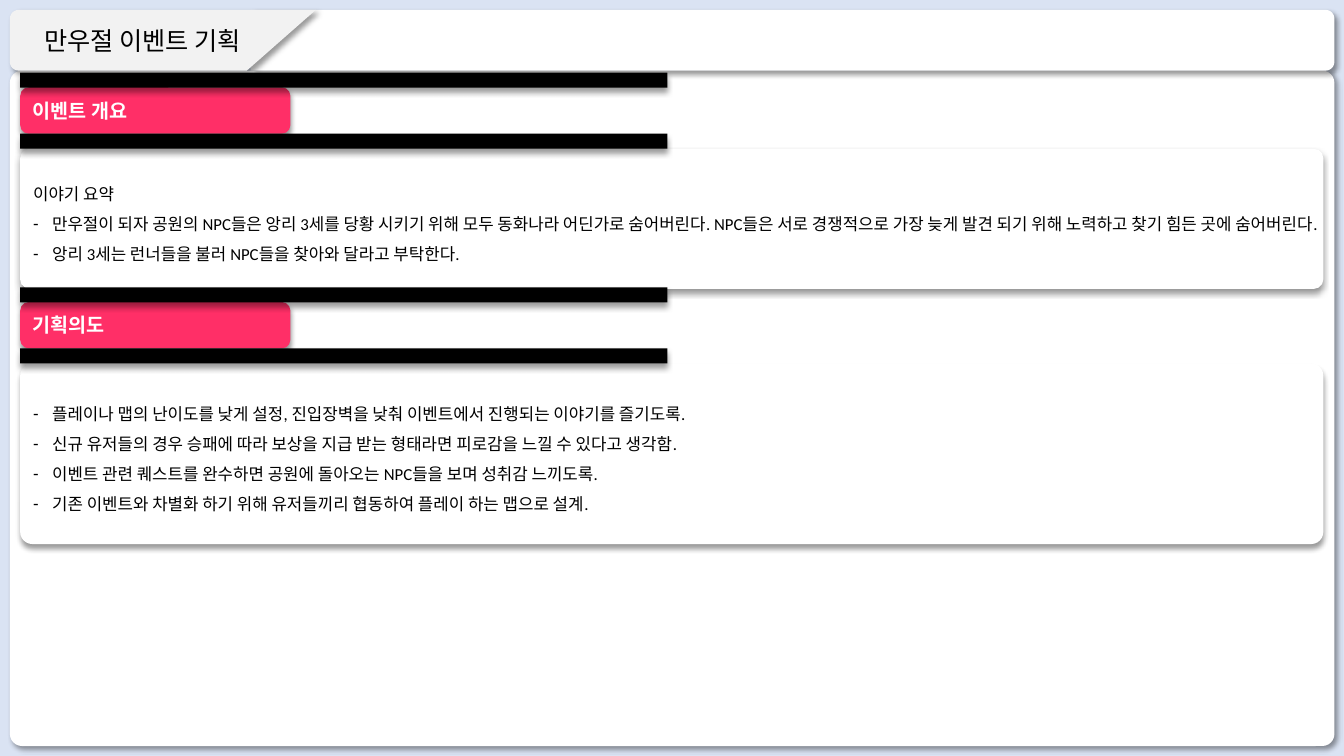
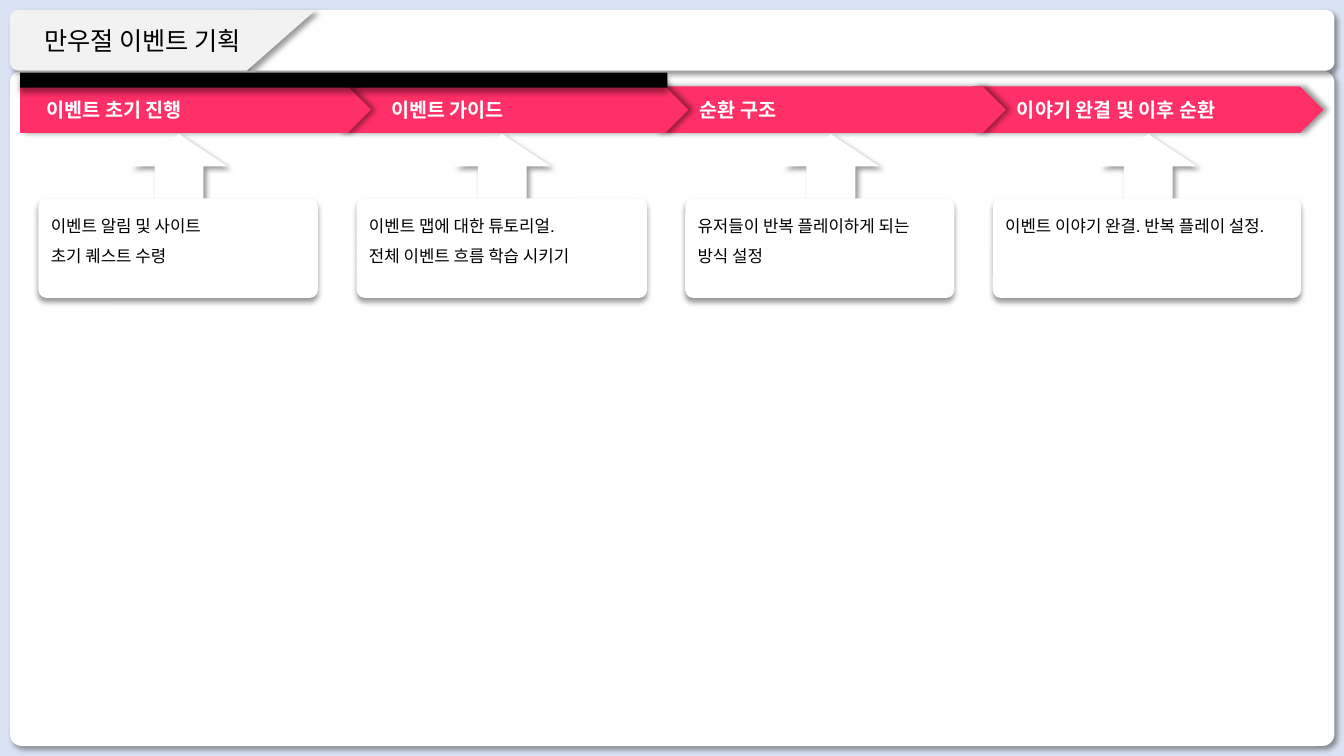
"""Build the two slides of the April Fools event plan."""
from math import cos, radians, sin

from lxml.etree import SubElement
from pptx import Presentation
from pptx.dml.color import RGBColor
from pptx.enum.shapes import MSO_SHAPE
from pptx.enum.text import MSO_ANCHOR, MSO_AUTO_SIZE, PP_ALIGN
from pptx.oxml.ns import qn
from pptx.util import Cm, Pt

COLORS = {
    "back": "DAE3F3",
    "white": "FFFFFF",
    "tab": "F2F2F2",
    "accent": "FF2F67",
    "black": "000000",
}
FONT = "Calibri"
TITLE = "만우절 이벤트 기획"
LEFT = 0.51
TOP = 1.83

SECTIONS = [
    ("이벤트 개요", 1.83, 3.53, [
        ("이야기 요약", False),
        ("만우절이 되자 공원의 NPC들은 앙리 3세를 당황 시키기 위해 모두 동화나라 어딘가로 숨어버린다. "
         "NPC들은 서로 경쟁적으로 가장 늦게 발견 되기 위해 노력하고 찾기 힘든 곳에 숨어버린다.", True),
        ("앙리 3세는 런너들을 불러 NPC들을 찾아와 달라고 부탁한다.", True),
    ]),
    ("기획의도", 7.24, 4.55, [
        ("플레이나 맵의 난이도를 낮게 설정, 진입장벽을 낮춰 이벤트에서 진행되는 이야기를 즐기도록.", True),
        ("신규 유저들의 경우 승패에 따라 보상을 지급 받는 형태라면 피로감을 느낄 수 있다고 생각함.", True),
        ("이벤트 관련 퀘스트를 완수하면 공원에 돌아오는 NPC들을 보며 성취감 느끼도록.", True),
        ("기존 이벤트와 차별화 하기 위해 유저들끼리 협동하여 플레이 하는 맵으로 설계.", True),
    ]),
]

STEPS = [
    ("이벤트 초기 진행", 0.66, 3.28, 0.97, 7.04, "이벤트 알림 및 사이트\n초기 퀘스트 수령"),
    ("이벤트 가이드", 1.35, 11.43, 8.99, 7.32, "이벤트 맵에 대한 튜토리얼.\n전체 이벤트 흐름 학습 시키기"),
    ("순환 구조", 1.13, 19.71, 17.27, 6.78, "유저들이 반복 플레이하게 되는 방식 설정"),
    ("이야기 완결 및 이후 순환", 1.12, 27.71, 25.02, 7.77, "이벤트 이야기 완결. 반복 플레이 설정."),
]


class Deck:
    """Hold the deck style and the current slide."""

    def __init__(self):
        """Create a wide presentation with the shared background."""
        self.prs = Presentation()
        self.prs.slide_width, self.prs.slide_height = Cm(33.87), Cm(19.05)
        self.fill(self.prs.slide_master.background, "back")
        self.s = None

    def fill(self, target, color):
        """Fill a shape or background with a named colour."""
        target.fill.solid()
        target.fill.fore_color.rgb = RGBColor.from_string(COLORS[color])

    def finish(self, sp, color, angle):
        """Apply the fill and soft shadow, without an outline."""
        self.fill(sp, color)
        sp.line.fill.background()
        sp.shadow.inherit = False
        effects = sp._element.spPr.find(qn("a:effectLst"))
        shadow = SubElement(effects, qn("a:outerShdw"), blurRad=str(Pt(4)), dist=str(Pt(3)),
                            dir=str(angle * 60000), algn="t", rotWithShape="0")
        clr = SubElement(shadow, qn("a:srgbClr"), val=COLORS["black"])
        SubElement(clr, qn("a:alpha"), val="40000")
        return sp

    def shape(self, kind, x, y, w, h, color, angle=90, adj=()):
        """Add a preset shape in the deck style."""
        sp = self.s.shapes.add_shape(kind, Cm(x), Cm(y), Cm(w), Cm(h))
        for i, value in enumerate(adj):
            sp.adjustments[i] = value
        return self.finish(sp, color, angle)

    def outline(self, points, color):
        """Add a closed outline through points in centimetres."""
        points = [(Cm(x), Cm(y)) for x, y in points]
        fb = self.s.shapes.build_freeform(*points[0])
        fb.add_line_segments(points[1:], close=True)
        return self.finish(fb.convert_to_shape(), color, 45)

    def corner(self, cx, cy, start, r=0.22):
        """Return the points of a quarter circle, clockwise from start."""
        angles = [radians(start + 15 * i) for i in range(7)]
        return [(cx + r * cos(a), cy + r * sin(a)) for a in angles]

    def format(self, tf, size, color, bold=False, spacing=None, align=PP_ALIGN.LEFT,
               anchor=MSO_ANCHOR.MIDDLE):
        """Format all text of a frame."""
        tf.word_wrap = True
        tf.auto_size = MSO_AUTO_SIZE.NONE
        tf.vertical_anchor = anchor
        for p in tf.paragraphs:
            p.alignment = align
            p.space_before = Pt(0)
            if spacing:
                p.line_spacing = spacing
            for r in p.runs:
                r.font.name, r.font.size, r.font.bold = FONT, Pt(size), bold
                r.font.color.rgb = RGBColor.from_string(COLORS[color])

    def place(self, sp, x, y, w, h):
        """Move a placeholder and bring it to the front."""
        sp.left, sp.top, sp.width, sp.height = Cm(x), Cm(y), Cm(w), Cm(h)
        self.s.shapes._spTree.append(sp._element)

    def slide(self, layout):
        """Start a slide with the shared frame and title."""
        self.s = self.prs.slides.add_slide(self.prs.slide_layouts[layout])
        self.shape(MSO_SHAPE.ROUNDED_RECTANGLE, 0.25, 1.78, 33.38, 17.02, "white", 45, [0.018])
        self.outline([(6.32, 0.25), *self.corner(33.41, 0.47, -90),
                      *self.corner(33.41, 1.56, 0), (6.32, 1.78)], "white")
        self.outline([(7.96, 0.25), (6.22, 1.78), *self.corner(0.47, 1.56, 90),
                      *self.corner(0.47, 0.47, 180)], "tab")
        title = self.s.shapes.title
        self.place(title, 0.28, 0.3, 6.63, 1.45)
        title.text_frame.text = TITLE
        self.format(title.text_frame, 18, "black", align=PP_ALIGN.CENTER)

    def bar(self, y):
        """Add a black divider bar."""
        self.shape(MSO_SHAPE.RECTANGLE, LEFT, y, 16.31, 0.38, "black")

    def bullets(self, sp, items):
        """Fill a body placeholder with plain and dashed lines."""
        tf = sp.text_frame
        tf.text = "\n".join(text for text, _ in items)
        for p, (_, dashed) in zip(tf.paragraphs, items):
            indent = Cm(0.48) if dashed else 0
            pPr = p._p.get_or_add_pPr()
            pPr.set("marL", str(indent))
            pPr.set("indent", str(-indent))
            if dashed:
                SubElement(pPr, qn("a:buChar"), char="-")
            else:
                SubElement(pPr, qn("a:buNone"))
        self.format(tf, 12, "black", spacing=1.5)

    def section(self, body, heading, y, height, items):
        """Add a heading between two bars over a list panel."""
        sp = self.shape(MSO_SHAPE.ROUNDED_RECTANGLE, LEFT, y + 0.37, 6.81, 1.17, "accent", adj=[0.187])
        sp.text_frame.text = heading
        self.format(sp.text_frame, 14, "white", True)
        box = (LEFT, y + 1.92, 32.84, height)
        self.shape(MSO_SHAPE.ROUNDED_RECTANGLE, *box, "white", adj=[0.067])
        self.place(body, LEFT + 0.07, *box[1:])
        self.bullets(body, items)
        self.bar(y)
        self.bar(y + 1.54)

    def chevron(self, x, text, inset):
        """Add one step of the process band."""
        sp = self.shape(MSO_SHAPE.RIGHT_ARROW, x, 2.18, 8.84, 1.17, "accent", 0, [1, 0.5])
        sp.text_frame.text = text
        sp.text_frame.margin_left = Cm(inset)
        self.format(sp.text_frame, 14, "white", True)

    def card(self, x, w, text):
        """Add a note card below the process band."""
        sp = self.shape(MSO_SHAPE.ROUNDED_RECTANGLE, x, 5, w, 2.51, "white", adj=[0.082])
        sp.text_frame.text = text
        self.format(sp.text_frame, 12, "black", spacing=1.5, anchor=MSO_ANCHOR.TOP)


def main():
    """Build and save the deck."""
    deck = Deck()
    deck.slide(3)
    bodies = [sp for sp in deck.s.placeholders if sp.placeholder_format.idx in (1, 2)]
    for body, section in zip(bodies, SECTIONS):
        deck.section(body, *section)

    deck.slide(5)
    for i, (name, inset, *_) in reversed(list(enumerate(STEPS))):
        deck.chevron(LEFT + 8 * i, name, inset)
    deck.bar(TOP)
    for _, _, arrow_x, card_x, card_w, note in STEPS:
        deck.shape(MSO_SHAPE.UP_ARROW, arrow_x, 3.38, 2.46, 1.63, "white", 45)
        deck.card(card_x, card_w, note)
    deck.prs.save("out.pptx")


if __name__ == "__main__":
    main()
